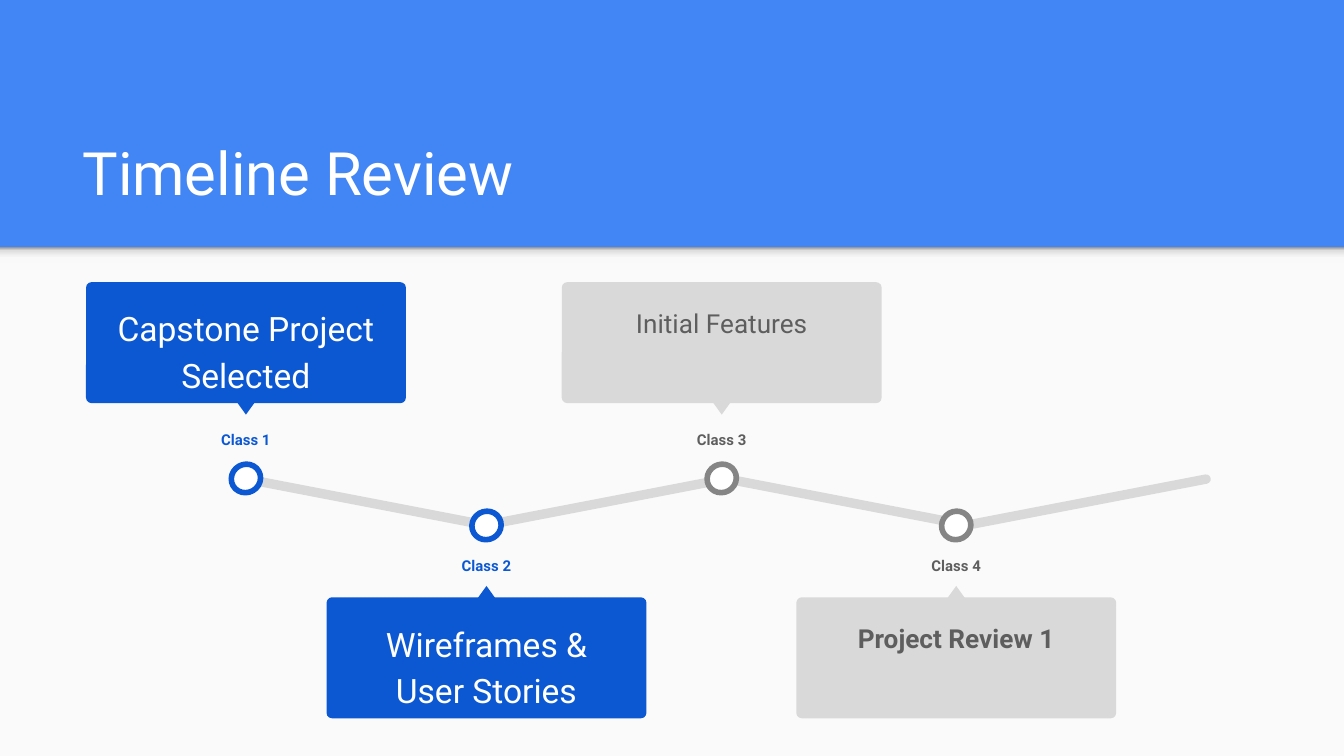
from copy import deepcopy

from pptx import Presentation
from pptx.dml.color import RGBColor
from pptx.enum.shapes import MSO_SHAPE
from pptx.enum.text import MSO_ANCHOR, PP_ALIGN
from pptx.oxml.ns import qn
from pptx.util import Pt

EMU_PER_PX = 4572  # 200 px to the inch
BLUE, DEEP_BLUE, WHITE = "4285F4", "0C58D3", "FFFFFF"
PAPER, LIGHT_GRAY, MID_GRAY, DARK_GRAY = "FAFAFA", "D9D9D9", "858585", "5E5E5E"
SHADE_STOPS = [(0, "F9F9F9"), (0.36, "F9F9F9"), (0.8, "DEDEDE"), (1, "999999")]

DONE = {"card": DEEP_BLUE, "ring": DEEP_BLUE, "label": DEEP_BLUE, "text": WHITE, "size": 18}
AHEAD = {"card": LIGHT_GRAY, "ring": MID_GRAY, "label": DARK_GRAY, "text": DARK_GRAY, "size": 14}
UPPER = {"card": 420, "pointer": 599, "label": 621, "dot": 691, "turn": 180}
LOWER = {"card": 889, "pointer": 872, "label": 809, "dot": 761, "turn": 0}

# centre, label, topic, bold topic, colours, side of the line
MILESTONES = [
    (366, "Class 1", "Capstone Project Selected", False, DONE, UPPER),
    (724, "Class 2", "Wireframes & User Stories", False, DONE, LOWER),
    (1074, "Class 3", "Initial Features", False, AHEAD, UPPER),
    (1423, "Class 4", "Project Review 1", True, AHEAD, LOWER),
]


def px(*lengths):
    return [length * EMU_PER_PX for length in lengths]


def rgb(color):
    return RGBColor.from_string(color)


def assign(target, values):
    for name, value in values.items():
        setattr(target, name, value)


def add_block(slide, preset, box, color, rotation=0, rounding=None, outline=None):
    block = slide.shapes.add_shape(preset, *px(*box))
    block.shadow.inherit = False
    block.rotation = rotation
    block.fill.solid()
    block.fill.fore_color.rgb = rgb(color)
    if rounding is not None:
        block.adjustments[0] = rounding
    if outline:
        block.line.color.rgb = rgb(outline)
        block.line.width = Pt(3)
    else:
        block.line.fill.background()
    return block


def add_text(slide, box, words, size, color, bold=False, anchor=MSO_ANCHOR.TOP, **layout):
    frame = slide.shapes.add_textbox(*px(*box)).text_frame
    inset, = px(20)
    assign(frame, {"word_wrap": True, "vertical_anchor": anchor,
                   "margin_left": inset, "margin_right": inset,
                   "margin_top": inset, "margin_bottom": inset})
    paragraph = frame.paragraphs[0]
    assign(paragraph, layout)
    run = paragraph.add_run()
    run.text = words
    assign(run.font, {"name": "Roboto", "size": Pt(size), "bold": bold})
    run.font.color.rgb = rgb(color)


def add_centered(slide, *args):
    add_text(slide, *args, alignment=PP_ALIGN.CENTER, line_spacing=1.15, space_after=Pt(16))


def add_header(slide):
    slide.background.fill.solid()
    slide.background.fill.fore_color.rgb = rgb(BLUE)
    add_block(slide, MSO_SHAPE.RECTANGLE, (0, 368, 2000, 757), PAPER)
    shade = add_block(slide, MSO_SHAPE.RECTANGLE, (0, 368, 2000, 24), PAPER)
    shade.fill.gradient()
    shade.fill.gradient_angle = 90
    stop_list = next(shade._element.iter(qn("a:gsLst")))
    while len(stop_list) < len(SHADE_STOPS):
        stop_list.append(deepcopy(stop_list[0]))
    for stop, (position, color) in zip(shade.fill.gradient_stops, SHADE_STOPS):
        stop.position = position
        stop.color.rgb = rgb(color)
    add_text(slide, (103, 161, 1798, 168), "Timeline Review", 32, WHITE, False, MSO_ANCHOR.BOTTOM)


def add_zigzag(slide):
    for index in range(4):
        tilt = -10.9 if index % 2 else 10.9
        add_block(slide, MSO_SHAPE.ROUNDED_RECTANGLE, (357 + 358 * index, 740, 374, 14),
                  LIGHT_GRAY, tilt, 0.5)


def add_milestone(slide, center, label, topic, bold, colors, side):
    add_block(slide, MSO_SHAPE.OVAL, (center - 22, side["dot"], 44, 42), WHITE, -29.8,
              outline=colors["ring"])
    add_centered(slide, (center - 97, side["label"], 194, 70), label, 8, colors["label"], True)
    add_block(slide, MSO_SHAPE.ROUNDED_RECTANGLE, (center - 238, side["card"], 476, 180),
              colors["card"], rounding=0.045)
    add_block(slide, MSO_SHAPE.ISOSCELES_TRIANGLE, (center - 13, side["pointer"], 26, 18),
              colors["card"], side["turn"])
    add_centered(slide, (center - 226, side["card"] + 10, 452, 160), topic,
                 colors["size"], colors["text"], bold)


def main():
    deck = Presentation()
    deck.slide_width, deck.slide_height = px(2000, 1125)
    slide = deck.slides.add_slide(deck.slide_layouts[6])
    add_header(slide)
    add_zigzag(slide)
    for milestone in MILESTONES:
        add_milestone(slide, *milestone)
    deck.save("out.pptx")


if __name__ == "__main__":
    main()
